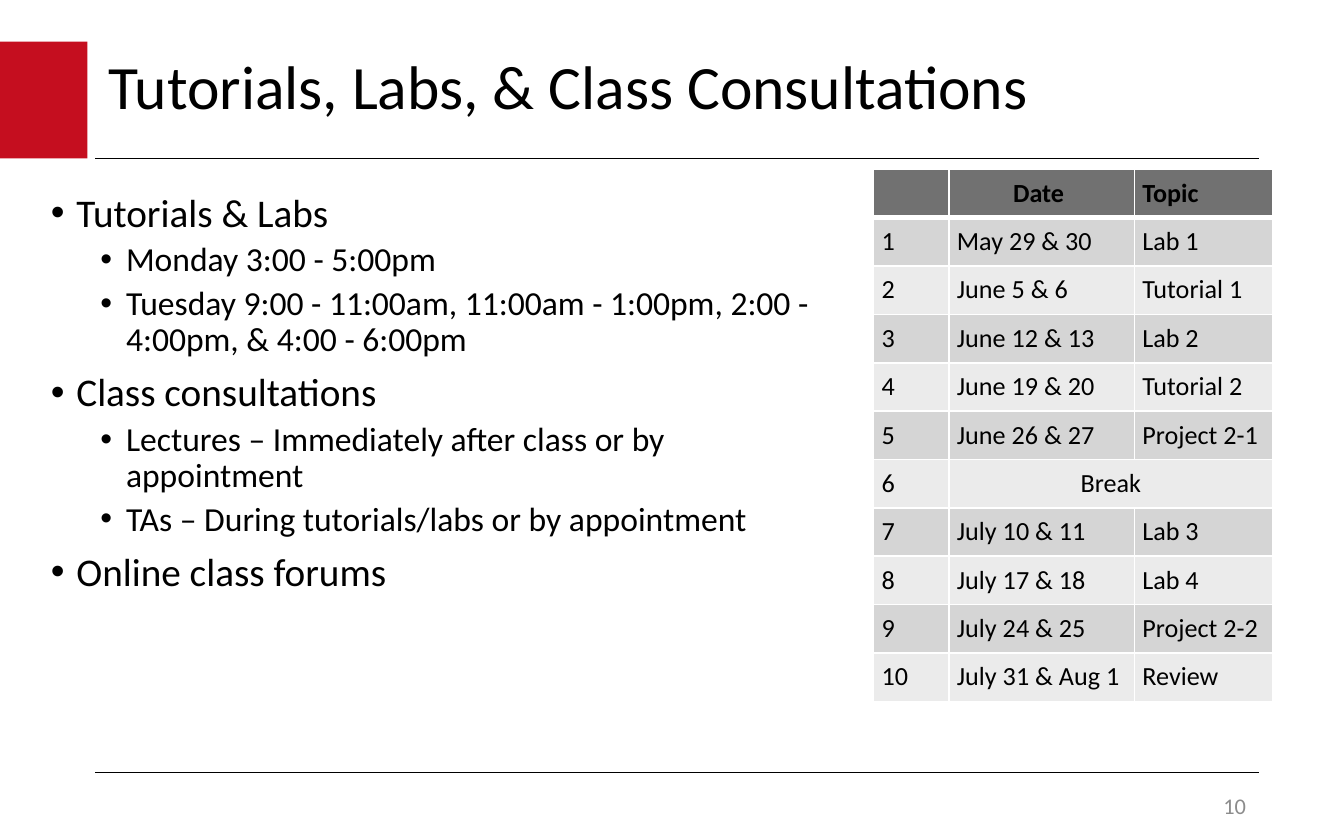
from dataclasses import dataclass

from lxml import etree
from pptx import Presentation
from pptx.dml.color import RGBColor
from pptx.enum.shapes import MSO_CONNECTOR, MSO_SHAPE
from pptx.enum.text import MSO_ANCHOR, PP_ALIGN
from pptx.oxml.ns import qn
from pptx.util import Inches, Pt

LEFT, CENTER, RIGHT = PP_ALIGN.LEFT, PP_ALIGN.CENTER, PP_ALIGN.RIGHT
TOP, MIDDLE = MSO_ANCHOR.TOP, MSO_ANCHOR.MIDDLE
RECTANGLE, STRAIGHT = MSO_SHAPE.RECTANGLE, MSO_CONNECTOR.STRAIGHT


@dataclass(frozen=True)
class Theme:
    font: str = "Calibri"
    text: str = "000000"
    accent: str = "C50E1F"
    page_number: str = "8C8C8C"
    header: str = "717171"
    bands: tuple = ("D5D5D5", "EBEBEB")
    border: str = "FFFFFF"
    title_size: float = 33
    topic_size: float = 21
    detail_size: float = 18
    table_size: float = 14
    number_size: float = 12


THEME = Theme()


def write(paragraph, text, size, color=THEME.text, bold=False, align=LEFT,
          line_spacing=None, space_before=None, bullet_indent=None):
    """Fill a paragraph; bullet_indent is the left margin in inches of a bulleted one."""
    paragraph.alignment = align
    if line_spacing:
        paragraph.line_spacing = line_spacing
    if space_before is not None:
        paragraph.space_before = Pt(space_before)
    if bullet_indent is not None:
        properties = paragraph._p.get_or_add_pPr()
        properties.set("marL", str(Inches(bullet_indent)))
        properties.set("indent", str(Inches(-0.19)))
        etree.SubElement(properties, qn("a:buFont"), typeface="Arial")
        etree.SubElement(properties, qn("a:buChar"), char="•")
    if not text:
        etree.SubElement(paragraph._p, qn("a:endParaRPr"), sz=str(int(size * 100)))
        return
    run = paragraph.add_run()
    run.text = text
    run.font.name = THEME.font
    run.font.size = Pt(size)
    run.font.bold = bold
    run.font.color.rgb = RGBColor.from_string(color)


def add_text_frame(left, top, width, height, anchor):
    box = slide.shapes.add_textbox(Inches(left), Inches(top), Inches(width), Inches(height))
    frame = box.text_frame
    frame.word_wrap = True
    frame.vertical_anchor = anchor
    frame.margin_left = frame.margin_right = Inches(0.1)
    frame.margin_top = frame.margin_bottom = Inches(0.05)
    return frame


presentation = Presentation()
presentation.slide_width = Inches(10)
presentation.slide_height = Inches(6.25)
slide = presentation.slides.add_slide(presentation.slide_layouts[6])

# Accent block and the two rules
accent = slide.shapes.add_shape(RECTANGLE, 0, Inches(0.31), Inches(0.65), Inches(0.87))
accent.shadow.inherit = False
accent.fill.solid()
accent.fill.fore_color.rgb = RGBColor.from_string(THEME.accent)
accent.line.fill.background()

for y in (1.18, 5.75):
    rule = slide.shapes.add_connector(STRAIGHT, Inches(0.71), Inches(y), Inches(9.37), Inches(y))
    rule.line.color.rgb = RGBColor.from_string(THEME.text)
    rule.line.width = Pt(0.75)
    etree.SubElement(rule._element.spPr, qn("a:effectLst"))

# Bulleted list
TOPICS = [
    ("Tutorials & Labs", [
        "Monday 3:00 - 5:00pm",
        "Tuesday 9:00 - 11:00am, 11:00am - 1:00pm, 2:00 - 4:00pm, & 4:00 - 6:00pm",
    ]),
    ("Class consultations", [
        "Lectures – Immediately after class or by appointment",
        "TAs – During tutorials/labs or by appointment",
    ]),
    ("Online class forums", []),
]
body = add_text_frame(0.28, 1.39, 5.96, 4.09, TOP)
paragraph = body.paragraphs[0]
for index, (topic, details) in enumerate(TOPICS):
    if index:
        paragraph = body.add_paragraph()
    write(paragraph, topic, THEME.topic_size, line_spacing=0.9, space_before=7.5,
          bullet_indent=0.19)
    for detail in details:
        paragraph = body.add_paragraph()
        paragraph.level = 1
        write(paragraph, detail, THEME.detail_size, line_spacing=0.9, space_before=3.8,
              bullet_indent=0.56)

# Title
title = add_text_frame(0.71, 0.31, 7.25, 0.71, MIDDLE)
write(title.paragraphs[0], "Tutorials, Labs, & Class Consultations", THEME.title_size,
      line_spacing=0.9)

# Schedule
SCHEDULE = [
    ("", "Date ", "Topic"),
    ("1", "May 29 & 30", "Lab 1"),
    ("2", "June 5 & 6", "Tutorial 1"),
    ("3", "June 12 & 13", "Lab 2"),
    ("4", "June 19 & 20", "Tutorial 2"),
    ("5", "June 26 & 27", "Project 2-1"),
    ("6", "Break", ""),
    ("7", "July 10 & 11", "Lab 3"),
    ("8", "July 17 & 18", "Lab 4"),
    ("9", "July 24 & 25", "Project 2-2"),
    ("10", "July 31 & Aug 1", "Review"),
]
BREAK_ROW = 6
ROW_HEIGHT = 0.36
COLUMN_WIDTHS = (0.56, 1.38, 1.03)
table = slide.shapes.add_table(
    len(SCHEDULE), len(COLUMN_WIDTHS), Inches(6.5), Inches(1.26),
    Inches(sum(COLUMN_WIDTHS)), Inches(ROW_HEIGHT * len(SCHEDULE))).table
for column, width in zip(table.columns, COLUMN_WIDTHS):
    column.width = Inches(width)

for row, values in enumerate(SCHEDULE):
    is_header = row == 0
    fill = THEME.header if is_header else THEME.bands[(row - 1) % 2]
    for column, value in enumerate(values):
        cell = table.cell(row, column)
        cell.margin_left = cell.margin_right = Inches(0.06)
        cell.margin_top = cell.margin_bottom = Inches(0.06)
        centered = column == 1 and row in (0, BREAK_ROW)
        write(cell.text_frame.paragraphs[0], value, THEME.table_size, bold=is_header,
              align=CENTER if centered else LEFT)
        properties = cell._tc.get_or_add_tcPr()
        for side in ("L", "R", "T", "B"):
            heavy = (row, side) in ((0, "B"), (1, "T"))
            border = etree.SubElement(properties, qn(f"a:ln{side}"),
                                      w=str(Pt(3 if heavy else 1)))
            solid = etree.SubElement(border, qn("a:solidFill"))
            etree.SubElement(solid, qn("a:srgbClr"), val=THEME.border)
        cell.fill.solid()
        cell.fill.fore_color.rgb = RGBColor.from_string(fill)
table.cell(BREAK_ROW, 1).merge(table.cell(BREAK_ROW, 2))

# Page number
page_number = add_text_frame(7.34, 5.87, 2.03, 0.25, MIDDLE)
write(page_number.paragraphs[0], "10", THEME.number_size, color=THEME.page_number, align=RIGHT)

presentation.save("out.pptx")
